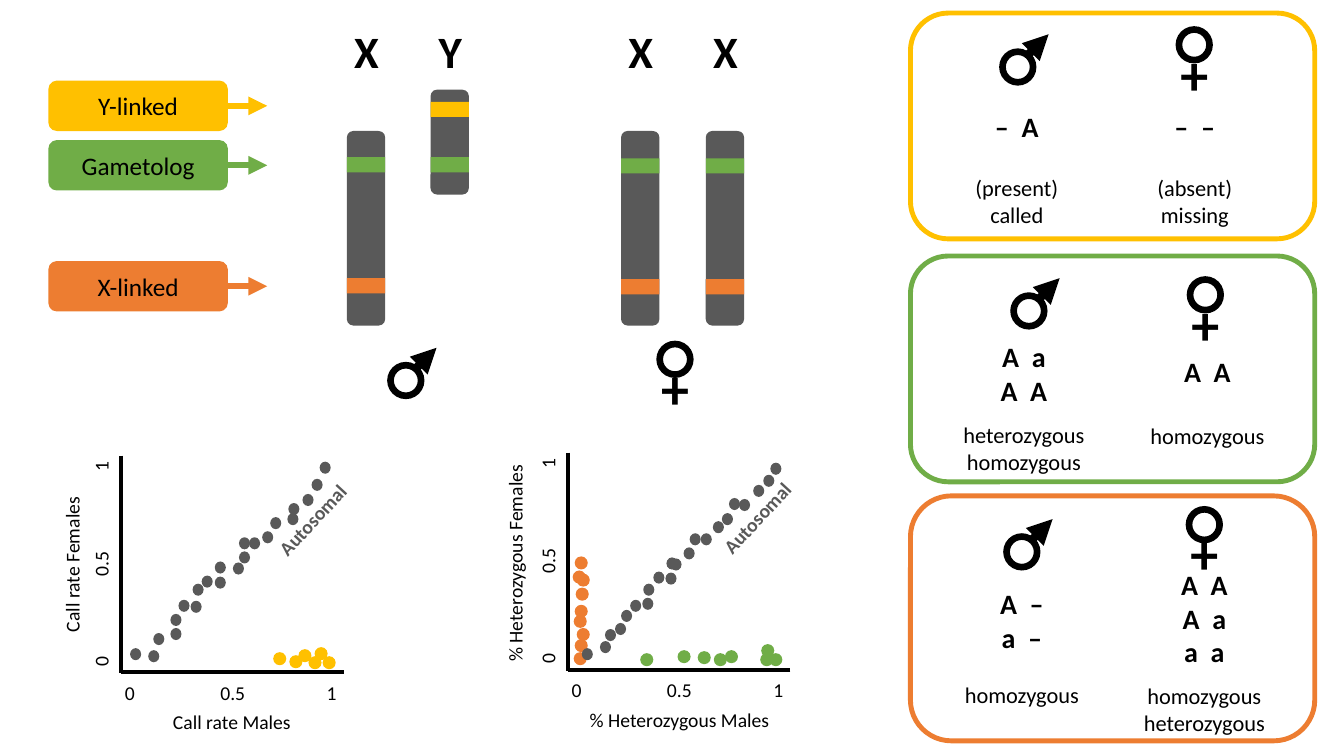
"""Build a slide on sex-linked markers: chromosomes, genotype panels and scatter plots."""
from dataclasses import dataclass

from lxml.etree import SubElement
from pptx import Presentation
from pptx.dml.color import RGBColor
from pptx.enum.shapes import MSO_CONNECTOR, MSO_SHAPE
from pptx.enum.text import MSO_ANCHOR, PP_ALIGN
from pptx.oxml.ns import qn
from pptx.util import Pt

EMU_PER_PX = 9144
YELLOW, GREEN, ORANGE = "FFC000", "70AD47", "ED7D31"
GREY, BLACK = "595959", "000000"
FONT = "Calibri"


@dataclass(frozen=True)
class Line:
    text: str
    size: int
    bold: bool = False
    before: float = 0
    color: str = BLACK


@dataclass(frozen=True)
class Tag:
    text: str
    top: int
    color: str


@dataclass(frozen=True)
class Chromosome:
    name: str
    left: int
    top: int
    height: int
    bands: tuple[tuple[int, str], ...]


@dataclass(frozen=True)
class Genotype:
    left: int
    top: int
    width: int
    height: int
    alleles: tuple[str, ...]
    gap: float
    labels: tuple[str, ...]


@dataclass(frozen=True)
class Panel:
    top: int
    height: int
    color: str
    male: tuple[int, int]
    female: tuple[int, int]
    genotypes: tuple[Genotype, Genotype]


@dataclass(frozen=True)
class Dots:
    color: str
    width: int
    height: int
    places: tuple[tuple[int, int], ...]


@dataclass(frozen=True)
class Plot:
    left: int
    top: int
    bottom: int
    measure: str
    x_title: tuple[int, int, int]
    y_title: tuple[int, int, int]
    x_ticks: tuple[int, int, int]
    y_ticks: tuple[int, int, int]
    autosomal: tuple[int, int, int]
    dots: tuple[Dots, ...]


TAGS = (Tag("Y-linked", 80, YELLOW), Tag("Gametolog", 139, GREEN), Tag("X-linked", 259, ORANGE))
CHROMOSOMES = (
    Chromosome("X", 344, 130, 193, ((156, GREEN), (276, ORANGE))),
    Chromosome("Y", 427, 89, 104, ((101, YELLOW), (156, GREEN))),
    Chromosome("X", 616, 130, 193, ((157, GREEN), (277, ORANGE))),
    Chromosome("X", 700, 130, 193, ((157, GREEN), (277, ORANGE))),
)
PANELS = (
    Panel(13, 224, YELLOW, (991, 48), (1166, 26), (
        Genotype(936, 104, 145, 128, ("– A",), 22, ("(present)", "called")),
        Genotype(1130, 104, 110, 128, ("– –",), 22, ("(absent)", "missing")))),
    Panel(254, 224, GREEN, (1002, 290), (1177, 274), (
        Genotype(933, 332, 165, 145, ("A a", "A A"), 10, ("heterozygous", "homozygous")),
        Genotype(1113, 347, 169, 104, ("A A",), 24, ("homozygous",)))),
    Panel(492, 243, ORANGE, (995, 529), (1176, 502), (
        Genotype(929, 577, 169, 131, ("A –", "a –"), 19.5, ("homozygous",)),
        Genotype(1112, 558, 165, 185, ("A A", "A a", "a a"), 10, ("homozygous", "heterozygous")))),
)
PLOTS = (
    Plot(120, 452, 667, "Call rate", (118, 699, 224), (-36, 543, 215),
         (114, 671, 231), (-11, 543, 223), (198, 499, 224), (
        Dots(YELLOW, 13, 13, ((320, 651), (306, 651), (271, 647), (296, 644), (312, 642), (287, 650))),
        Dots(GREY, 11, 12, (
            (285, 509), (169, 609), (191, 579), (231, 558), (200, 571), (169, 623), (213, 572), (286, 499),
            (152, 628), (129, 643), (147, 645), (177, 595), (237, 533), (237, 547), (189, 596), (247, 533),
            (268, 513), (213, 557), (260, 527), (300, 490), (309, 475), (317, 458))))),
    Plot(563, 449, 665, "% Heterozygous", (536, 697, 276), (385, 542, 252),
         (557, 668, 231), (432, 540, 223), (639, 497, 224), (
        Dots(ORANGE, 13, 13, ((569, 647), (569, 610), (568, 566), (570, 600), (572, 569), (570, 552),
                              (571, 583), (572, 623), (570, 634))),
        Dots(GREEN, 13, 13, ((763, 648), (754, 648), (672, 645), (719, 645), (755, 639), (708, 648),
                             (692, 646), (635, 648))),
        Dots(GREY, 11, 12, (
            (723, 494), (616, 605), (638, 579), (665, 554), (648, 567), (610, 618), (660, 568), (733, 495),
            (600, 624), (577, 643), (595, 636), (625, 595), (684, 529), (678, 543), (637, 593), (695, 529),
            (716, 509), (661, 553), (707, 517), (747, 481), (757, 471), (764, 459))))),
)


def px(length: int) -> int:
    """Turn px into EMU."""
    return length * EMU_PER_PX


def rgb(color: str) -> RGBColor:
    """Turn a hex string into a colour."""
    return RGBColor.from_string(color)


def write(frame, lines: tuple[Line, ...], tabs: tuple[int, ...] = ()) -> None:
    """Fill a text frame, one paragraph a line, with wide gaps between bold alleles."""
    for index, line in enumerate(lines):
        para = frame.add_paragraph() if index else frame.paragraphs[0]
        para.alignment = PP_ALIGN.LEFT if tabs else PP_ALIGN.CENTER
        if line.before:
            para.space_before = Pt(line.before)
        if tabs:
            stops = SubElement(para._p.get_or_add_pPr(), qn("a:tabLst"))
            for position in tabs:
                SubElement(stops, qn("a:tab"), pos=str(px(position)), algn="ctr")
        para.font.name, para.font.size, para.font.bold = FONT, Pt(line.size), line.bold
        para.font.color.rgb = rgb(line.color)
        pieces = line.text.partition(" ") if line.bold else (line.text,)
        for piece in filter(None, pieces):
            span = para.add_run()
            span.text = piece
            if piece == " ":
                span._r.get_or_add_rPr().set("spc", "450")


def add_text(page, left: int, top: int, width: int, height: int, *lines: Line,
             rotation: float = 0, wrap: bool = True, tabs: tuple[int, ...] = ()) -> None:
    """Add a text box."""
    box = page.shapes.add_textbox(px(left), px(top), px(width), px(height))
    box.rotation = rotation
    box.text_frame.word_wrap = wrap
    if tabs:
        box.text_frame.margin_right = 0
    write(box.text_frame, lines, tabs)


def add_form(page, kind: MSO_SHAPE, left: int, top: int, width: int, height: int,
             fill: str = "", outline: str = ""):
    """Add a preset shape with a fill or an outline."""
    form = page.shapes.add_shape(kind, px(left), px(top), px(width), px(height))
    form.shadow.inherit = False
    if fill:
        form.fill.solid()
        form.fill.fore_color.rgb = rgb(fill)
    else:
        form.fill.background()
    if outline:
        form.line.color.rgb = rgb(outline)
        form.line.width = Pt(3.5)
    else:
        form.line.fill.background()
    return form


def add_line(page, start: tuple[int, int], end: tuple[int, int], color: str,
             width: float, arrow: bool = False) -> None:
    """Add a straight line, with an arrowhead at its end if asked."""
    line = page.shapes.add_connector(MSO_CONNECTOR.STRAIGHT, *map(px, start + end))
    line.line.color.rgb = rgb(color)
    line.line.width = Pt(width)
    if arrow:
        SubElement(line.line._get_or_add_ln(), qn("a:tailEnd"), type="triangle")
    SubElement(line._element.spPr, qn("a:effectLst"))


def add_ring(page, left: int, top: int) -> None:
    """Add the ring of a sex symbol."""
    add_form(page, MSO_SHAPE.DONUT, left, top, 37, 37, BLACK).adjustments[0] = 0.18


def add_male(page, left: int, top: int) -> None:
    """Add a male symbol."""
    add_ring(page, left, top)
    add_line(page, (left + 29, top + 6), (left + 49, top - 14), BLACK, 6, arrow=True)


def add_female(page, left: int, top: int) -> None:
    """Add a female symbol."""
    add_ring(page, left, top)
    add_text(page, left - 11, top + 8, 59, 77, Line("+", 40, True))


def add_tag(page, tag: Tag) -> None:
    """Add a region tag with its arrow."""
    form = add_form(page, MSO_SHAPE.ROUNDED_RECTANGLE, 48, tag.top, 178, 50, tag.color)
    form.text_frame.vertical_anchor = MSO_ANCHOR.MIDDLE
    write(form.text_frame, (Line(tag.text, 18),))
    add_line(page, (225, tag.top + 25), (265, tag.top + 25), tag.color, 4.5, arrow=True)


def add_chromosome(page, item: Chromosome) -> None:
    """Add a named chromosome with its bands."""
    add_form(page, MSO_SHAPE.ROUNDED_RECTANGLE, item.left, item.top, 38, item.height, GREY)
    add_text(page, item.left - 3, 19, 45, 64, Line(item.name, 32, True), wrap=False)
    for top, color in item.bands:
        add_form(page, MSO_SHAPE.RECTANGLE, item.left, top, 38, 15, color)


def add_panel(page, panel: Panel) -> None:
    """Add a panel with male and female genotypes."""
    add_form(page, MSO_SHAPE.ROUNDED_RECTANGLE, 903, panel.top, 401, panel.height, outline=panel.color)
    add_male(page, *panel.male)
    add_female(page, *panel.female)
    for item in panel.genotypes:
        alleles = [Line(text, 20, True) for text in item.alleles]
        labels = [Line(text, 16, before=0 if index else item.gap) for index, text in enumerate(item.labels)]
        add_text(page, item.left, item.top, item.width, item.height, *alleles, *labels)


def add_plot(page, plot: Plot) -> None:
    """Add a sketched scatter plot with axes, ticks and dots."""
    ticks = Line("0\t0.5\t1", 14)
    add_line(page, (plot.left, plot.top), (plot.left, plot.bottom + 1), BLACK, 3)
    add_line(page, (plot.left + 221, plot.bottom), (plot.left, plot.bottom), BLACK, 3)
    add_text(page, *plot.x_ticks, 34, ticks, tabs=(107, 205))
    add_text(page, *plot.y_ticks, 34, ticks, rotation=270, tabs=(102, 199))
    add_text(page, *plot.x_title, 34, Line(f"{plot.measure} Males", 14))
    add_text(page, *plot.y_title, 34, Line(f"{plot.measure} Females", 14), rotation=270)
    for group in plot.dots:
        for left, top in group.places:
            add_form(page, MSO_SHAPE.OVAL, left, top, group.width, group.height, group.color)
    add_text(page, *plot.autosomal, 34, Line("Autosomal", 14, True, color=GREY), rotation=312.7)


def main() -> None:
    """Build the deck and save it."""
    deck = Presentation()
    deck.slide_width, deck.slide_height = px(1333), px(750)
    page = deck.slides.add_slide(deck.slide_layouts[6])
    for draw, items in ((add_chromosome, CHROMOSOMES), (add_tag, TAGS), (add_panel, PANELS), (add_plot, PLOTS)):
        for item in items:
            draw(page, item)
    add_male(page, 384, 359)
    add_female(page, 651, 338)
    deck.save("out.pptx")


if __name__ == "__main__":
    main()
